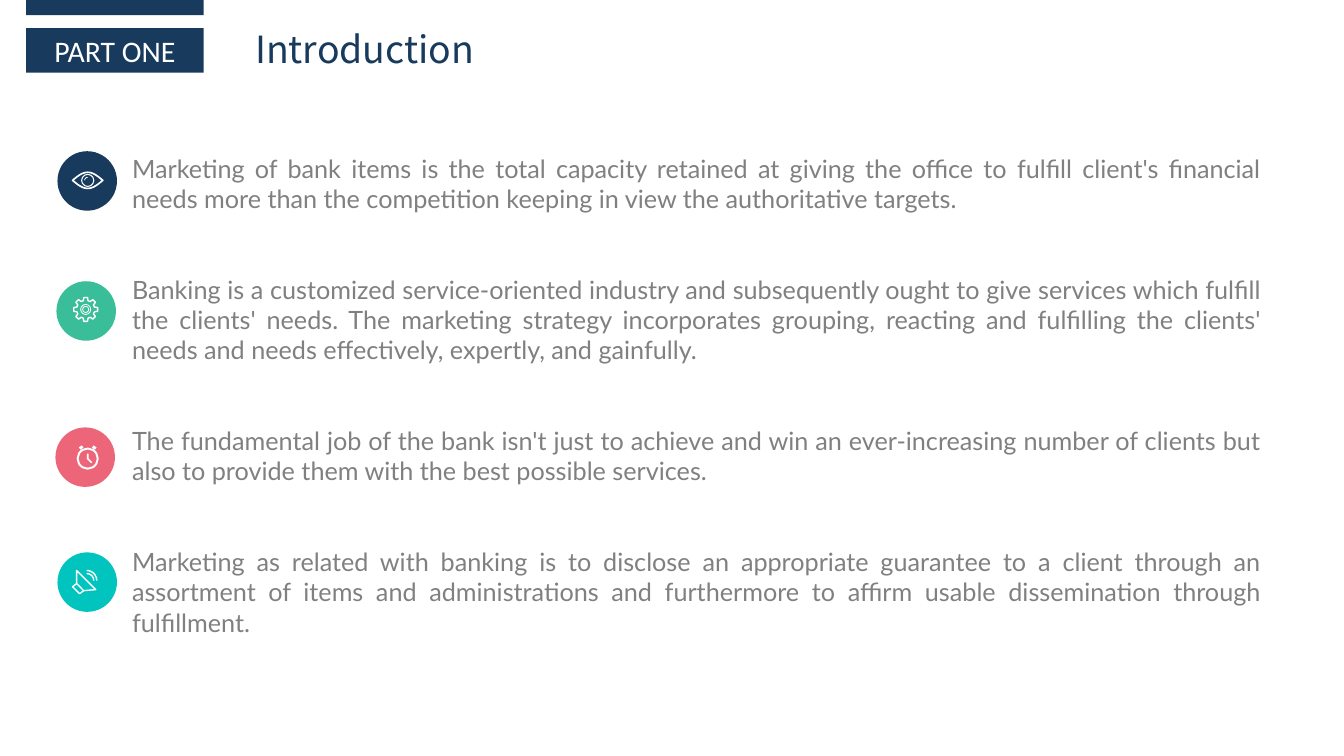
from math import cos, radians, sin

from pptx import Presentation
from pptx.dml.color import RGBColor
from pptx.enum.shapes import MSO_SHAPE
from pptx.enum.text import MSO_ANCHOR, MSO_AUTO_SIZE, PP_ALIGN
from pptx.util import Inches, Pt

RECT, OVAL = MSO_SHAPE.RECTANGLE, MSO_SHAPE.OVAL
ROUND = MSO_SHAPE.ROUNDED_RECTANGLE
MIDDLE, TOP = MSO_ANCHOR.MIDDLE, MSO_ANCHOR.TOP
CENTER, JUSTIFY = PP_ALIGN.CENTER, PP_ALIGN.JUSTIFY
FIXED = MSO_AUTO_SIZE.NONE

COLORS = {"navy": "183A5D", "green": "3ABE99", "pink": "ED6579",
          "teal": "01C4BE", "gray": "808080", "white": "FFFFFF"}

POINTS = [
    "Marketing of bank items is the total capacity retained at giving the office "
    "to fulfill client's financial needs more than the competition keeping in "
    "view the authoritative targets.",
    "Banking is a customized service-oriented industry and subsequently ought to "
    "give services which fulfill the clients' needs. The marketing strategy "
    "incorporates grouping, reacting and fulfilling the clients' needs and needs "
    "effectively, expertly, and gainfully.",
    "The fundamental job of the bank isn't just to achieve and win an "
    "ever-increasing number of clients but also to provide them with the best "
    "possible services.",
    "Marketing as related with banking is to disclose an appropriate guarantee to "
    "a client through an assortment of items and administrations and furthermore "
    "to affirm usable dissemination through fulfillment.",
]

# Left, top and colour of each icon disc
DISCS = [(0.57, 1.5, "navy"), (0.56, 2.79, "green"),
         (0.55, 4.24, "pink"), (0.57, 5.48, "teal")]


def color(name):
    return RGBColor.from_string(COLORS[name])


def write(frame, lines, font, size, tint, align=JUSTIFY, anchor=TOP, gap=0, pad=0.05):
    frame.word_wrap = True
    frame.auto_size = FIXED
    frame.vertical_anchor = anchor
    frame.margin_left = frame.margin_right = Inches(0.1)
    frame.margin_top = frame.margin_bottom = Inches(pad)
    for i, line in enumerate(lines):
        para = frame.paragraphs[0] if i == 0 else frame.add_paragraph()
        props = para._p.get_or_add_pPr()
        props.set("marL", "0")
        props.set("indent", "0")
        para.alignment = align
        para.line_spacing = 1.0
        para.space_before = Pt(gap if i else 0)
        para.space_after = Pt(0)
        props.append(props.makeelement(
            "{http://schemas.openxmlformats.org/drawingml/2006/main}buNone", {}))
        run = para.add_run()
        run.text = line
        run.font.name = font
        run.font.size = Pt(size)
        run.font.color.rgb = color(tint)


def arc(x, y, r, start, end, step=10):
    """Points along an arc, in degrees clockwise from the right."""
    return [(x + r * cos(radians(a)), y + r * sin(radians(a)))
            for a in range(start, end + 1, step)]


class Deck:
    def __init__(self):
        self.prs = Presentation()
        self.prs.slide_width = Inches(13.33)
        self.prs.slide_height = Inches(7.5)
        self.slide = self.prs.slides.add_slide(self.prs.slide_layouts[1])
        self.shapes = self.slide.shapes

    def holder(self, index, x, y, w, h, lines, **style):
        box = self.slide.placeholders[index]
        box.left, box.top, box.width, box.height = map(Inches, (x, y, w, h))
        write(box.text_frame, lines, **style)

    def block(self, kind, x, y, w, h, fill):
        shape = self.shapes.add_shape(kind, *map(Inches, (x, y, w, h)))
        shape.shadow.inherit = False
        shape.fill.solid()
        shape.fill.fore_color.rgb = color(fill)
        shape.line.fill.background()
        return shape

    def stroke(self, shape, width):
        shape.shadow.inherit = False
        shape.fill.background()
        shape.line.color.rgb = color("white")
        shape.line.width = Pt(width)

    def ring(self, x, y, r, width=1):
        size = Inches(2 * r)
        shape = self.shapes.add_shape(OVAL, Inches(x - r), Inches(y - r), size, size)
        self.stroke(shape, width)

    def trace(self, points, close=False, width=1):
        spots = [(Inches(x), Inches(y)) for x, y in points]
        form = self.shapes.build_freeform(*spots[0])
        form.add_line_segments(spots[1:], close=close)
        self.stroke(form.convert_to_shape(), width)

    def eye(self, x, y):
        upper = [(x + 0.15 * t / 10, y - 0.08 * cos(radians(9 * t)))
                 for t in range(-10, 11)]
        lower = [(px, 2 * y - py) for px, py in upper[-2:0:-1]]
        self.trace(upper + lower, close=True, width=1.2)
        self.ring(x, y, 0.06, 0.75)
        self.trace(arc(x, y, 0.03, 180, 270), width=0.6)

    def gear(self, x, y):
        teeth = []
        for mid in range(0, 360, 45):
            for turn, r in ((-15, 0.09), (-9, 0.12), (9, 0.12), (15, 0.09)):
                teeth += arc(x, y, r, mid + turn, mid + turn)
        self.trace(teeth, close=True)
        self.ring(x, y, 0.05, 0.6)
        self.ring(x, y, 0.03, 0.6)

    def clock(self, x, y):
        self.ring(x, y, 0.1, 1.4)
        self.trace([(x, y - 0.05), (x, y), (x + 0.04, y + 0.04)], width=1.2)
        for side in (-1, 1):
            self.trace([(x + side * 0.08, y - 0.1), (x + side * 0.05, y - 0.12)], width=2)

    def dish(self, x, y):
        self.trace([(x - 0.1, y - 0.1), (x + 0.09, y + 0.09),
                    (x - 0.03, y + 0.1), (x - 0.1, y + 0.03)], close=True)
        self.trace([(x - 0.1, y + 0.03), (x - 0.14, y + 0.06),
                    (x - 0.07, y + 0.13), (x - 0.03, y + 0.1)])
        for r in (0.07, 0.1):
            self.trace(arc(x, y, r, -90, 0))


def main():
    deck = Deck()

    # Title and part label
    deck.holder(0, 2.43, 0.21, 6.62, 0.55, ["Introduction"],
                font="Noto Sans CJK SC", size=26.7, tint="navy", anchor=MIDDLE)
    deck.block(RECT, 0.26, 0, 1.76, 0.15, "navy")
    label = deck.block(RECT, 0.26, 0.28, 1.76, 0.44, "navy")
    write(label.text_frame, ["PART ONE"], font="Calibri", size=21.3,
          tint="white", align=CENTER, anchor=MIDDLE, pad=0)

    # Main points
    deck.holder(1, 1.21, 1.47, 11.4, 4.64, POINTS,
                font="Lato", size=18, tint="gray", gap=43.2)

    # Icon discs
    for x, y, fill in DISCS:
        disc = deck.block(ROUND, x, y, 0.59, 0.59, fill)
        disc.adjustments[0] = 0.5

    # Icons
    deck.eye(0.87, 1.79)
    deck.gear(0.85, 3.07)
    deck.clock(0.87, 4.55)
    deck.dish(0.86, 5.76)

    deck.prs.save("out.pptx")


if __name__ == "__main__":
    main()
